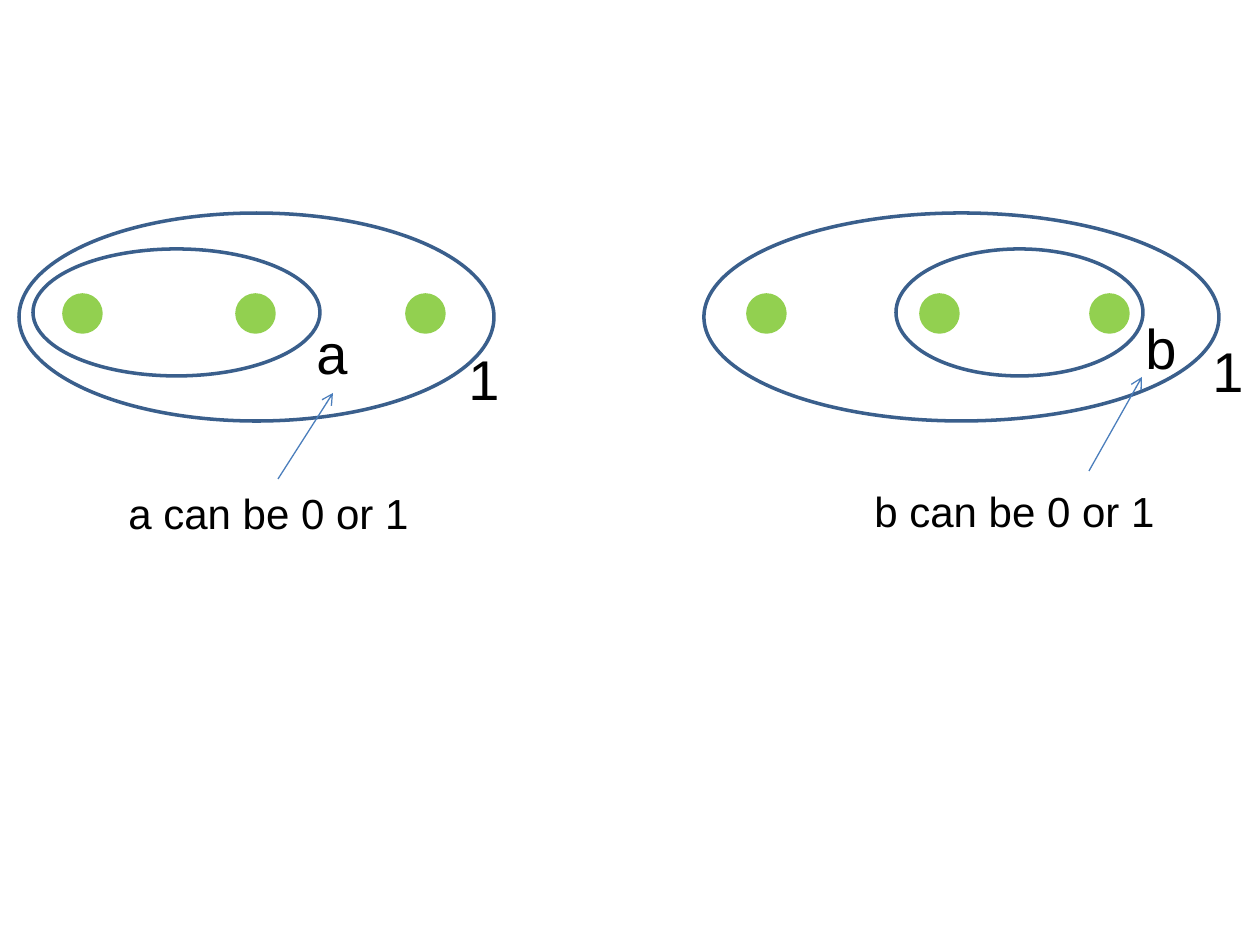
from dataclasses import dataclass

from lxml.etree import SubElement
from pptx import Presentation
from pptx.dml.color import RGBColor
from pptx.enum.shapes import MSO_CONNECTOR as Connector, MSO_SHAPE as Shape
from pptx.enum.text import MSO_AUTO_SIZE as AutoSize
from pptx.oxml.ns import qn
from pptx.util import Pt

PX = 914400 // 126
COLORS = {"dot": "92D050", "outline": "3A5F8C", "arrow": "4B7EBC", "text": "000000"}
FONT = "Arial"
DOT_SIZE = 37
DOT_OFFSETS = (0, 173, 343)


@dataclass
class SetDiagram:
    """Parts of one nested-set diagram, measured from its outer ellipse."""
    name: str
    box: tuple
    first_dot: int
    inner: tuple
    name_at: tuple
    one_at: tuple
    caption_at: tuple
    arrow: tuple


DIAGRAMS = (
    SetDiagram("a", (19, 213, 475, 208), 45, (14, 36, 287, 127),
               (285, 99), (437, 125), (97, 268), (259, 266, 314, 180)),
    SetDiagram("b", (704, 213, 515, 208), 44, (192, 36, 247, 127),
               (429, 94), (496, 117), (158, 266), (385, 258, 438, 164)),
)


def color(key):
    """Return the named colour."""
    return RGBColor.from_string(COLORS[key])


def add_ellipse(shapes, left, top, width, height, line, fill=None):
    """Draw an ellipse, hollow unless a fill is named."""
    ellipse = shapes.add_shape(Shape.OVAL, left * PX, top * PX, width * PX, height * PX)
    ellipse.shadow.inherit = False
    if fill:
        ellipse.fill.solid()
        ellipse.fill.fore_color.rgb = color(fill)
    else:
        ellipse.fill.background()
    ellipse.line.color.rgb = color(line)
    ellipse.line.width = Pt(2)


def add_label(shapes, text, left, top, width, height, size):
    """Write one line of text in a box that fits it."""
    label = shapes.add_textbox(left * PX, top * PX, width * PX, height * PX)
    frame = label.text_frame
    frame.word_wrap = False
    frame.auto_size = AutoSize.SHAPE_TO_FIT_TEXT
    frame.text = text
    font = frame.paragraphs[0].runs[0].font
    font.name, font.size = FONT, Pt(size)
    font.color.rgb = color("text")


def add_arrow(shapes, start_x, start_y, end_x, end_y):
    """Draw a thin line with an open arrowhead at its end."""
    arrow = shapes.add_connector(Connector.STRAIGHT, start_x * PX, start_y * PX,
                                 end_x * PX, end_y * PX)
    arrow.line.color.rgb = color("arrow")
    arrow.line.width = Pt(0.75)
    SubElement(arrow.line._get_or_add_ln(), qn("a:tailEnd"), type="arrow")
    SubElement(arrow._element.spPr, qn("a:effectLst"))


def add_diagram(page, diagram):
    """Place the grouped dots and sets, then the caption and its arrow."""
    left, top, width, height = diagram.box

    def place(x, y):
        """Turn a point inside the box into a point on the page."""
        return left + x, top + y

    group = page.shapes.add_group_shape().shapes
    for offset in DOT_OFFSETS:
        add_ellipse(group, *place(diagram.first_dot + offset, 82),
                    DOT_SIZE, DOT_SIZE, "dot", "dot")
    add_ellipse(group, *place(*diagram.inner[:2]), *diagram.inner[2:], "outline")
    add_label(group, diagram.name, *place(*diagram.name_at), 57, 81, 32)
    add_ellipse(group, left, top, width, height, "outline")
    add_label(group, "1", *place(*diagram.one_at), 57, 81, 32)
    add_label(page.shapes, f"{diagram.name} can be 0 or 1",
              *place(*diagram.caption_at), 309, 64, 24)
    add_arrow(page.shapes, *place(*diagram.arrow[:2]), *place(*diagram.arrow[2:]))


def main():
    """Build the slide and save it."""
    deck = Presentation()
    deck.slide_width, deck.slide_height = 1260 * PX, 945 * PX
    page = deck.slides.add_slide(deck.slide_layouts[6])
    for diagram in DIAGRAMS:
        add_diagram(page, diagram)
    deck.save("out.pptx")


if __name__ == "__main__":
    main()
